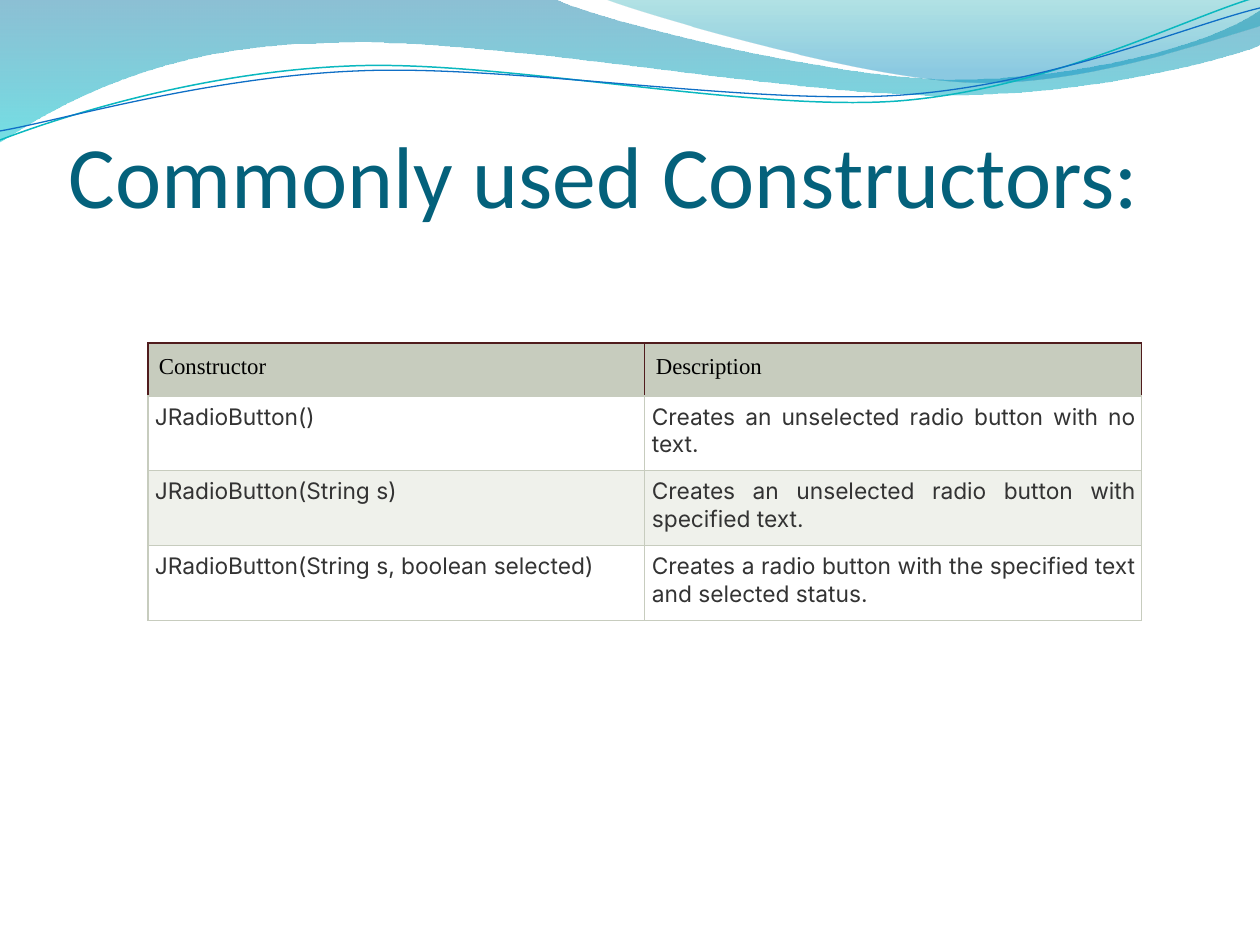
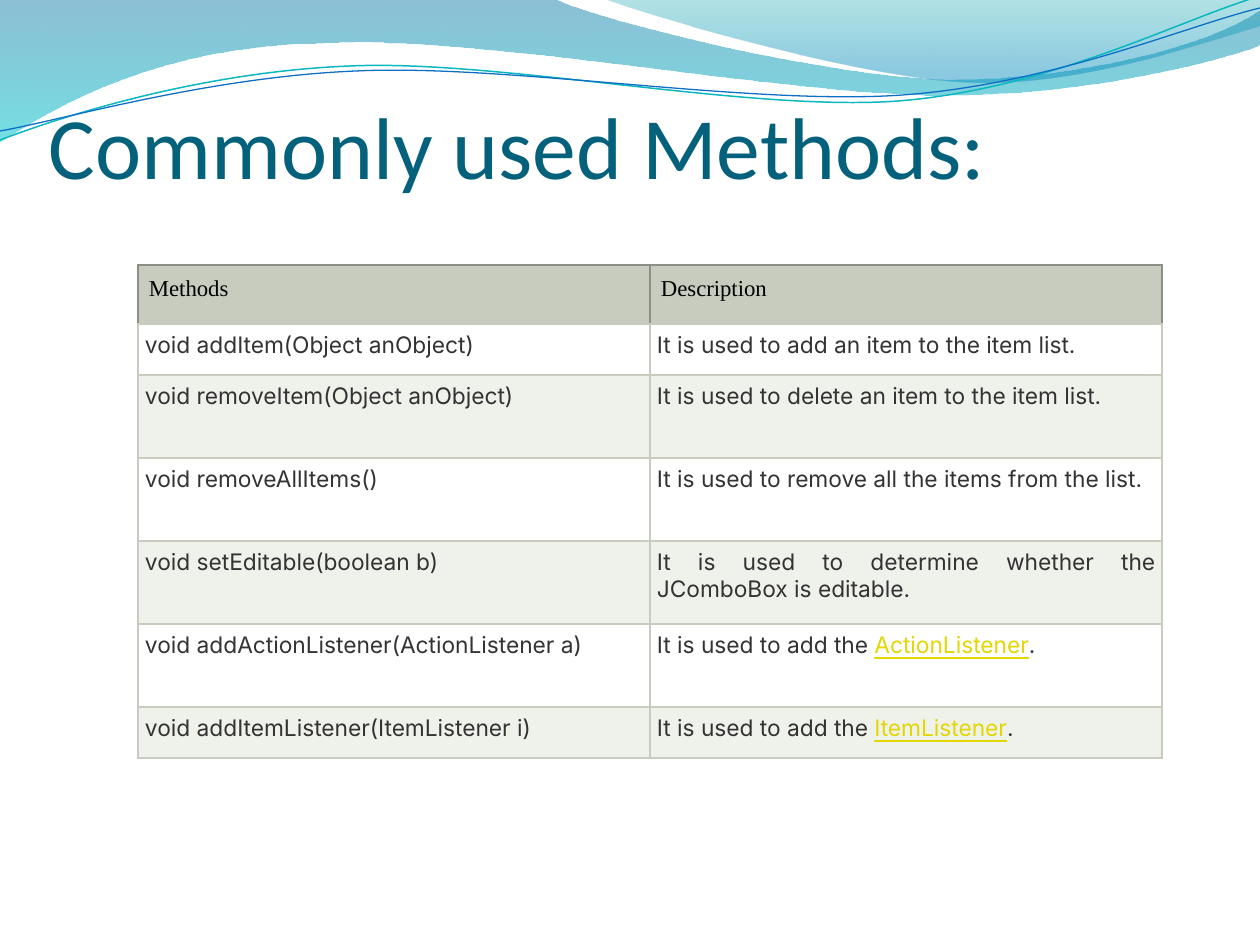
"""Builds two slides of Java Swing reference tables under a wave banner."""
from lxml import etree
from pptx import Presentation
from pptx.dml.color import RGBColor
from pptx.enum.text import MSO_ANCHOR, PP_ALIGN
from pptx.oxml.ns import qn
from pptx.util import Pt

PX = 914400 / 126
BOTTOM, LEFT, JUSTIFY = MSO_ANCHOR.BOTTOM, PP_ALIGN.LEFT, PP_ALIGN.JUSTIFY

TITLE_COLOR, HEADER_FILL, GRID_COLOR = "04617B", "C7CCBE", "C7CCBE"
ROW_FILLS = ("FFFFFF", "EFF1EB")
LINK_COLOR = "E2D700"
HEADER_TEXT = dict(size=13, font="Times New Roman", color="000000")
BODY_TEXT = dict(size=13, font="Inter", color="333333", align=JUSTIFY)

# Each step is a line end (2 numbers) or a Bezier curve (6 numbers).
WAVES = [
    dict(steps=[(0, 0), (554, -1), (600, 21, 837, 79, 955, 79),
                (1075, 79, 1207, 47, 1260, 11), (1261, 45),
                (1239, 55, 1096, 96, 940, 95), (783, 95, 481, 35, 324, 43),
                (161, 45, 58, 105, -1, 142)],
         gradient=[(0, "0074A1", 45), (1, "00C6CF", 55)]),
    dict(steps=[(604, -1), (641, 14, 859, 78, 969, 82),
                (1079, 87, 1211, 40, 1260, 26), (1260, 0)],
         gradient=[(0, "00A1A9", 30), (0.8, "008BBF", 45)]),
    dict(steps=[(0, 140), (60, 117, 199, 72, 349, 66),
                (498, 59, 747, 112, 898, 101), (1050, 89, 1182, 19, 1257, -3)],
         line=("0AB8BF", 0.85)),
    dict(steps=[(0, 131), (59, 121, 207, 77, 357, 71),
                (508, 64, 752, 106, 903, 95), (1053, 84, 1186, 26, 1260, 8)],
         line=("0F6FC6", 0.75)),
]

SLIDES = [
    dict(title="Commonly used Constructors:", title_at=(69, 68),
         table_at=(148, 343), column=497, heights=[53, 75, 75, 75],
         header_border="501C1D", header=("Constructor", "Description"),
         rows=[
             ("JRadioButton()",
              "Creates an unselected radio button with no text."),
             ("JRadioButton(String s)",
              "Creates an unselected radio button with specified text."),
             ("JRadioButton(String s, boolean selected)",
              "Creates a radio button with the specified text and selected status."),
         ]),
    dict(title="Commonly used Methods:", title_at=(49, 39),
         table_at=(138, 265), column=512, heights=[59, 51, 83, 83, 83, 83, 51],
         header_border="8C8E88", header=("Methods", "Description"),
         rows=[
             ("void addItem(Object anObject)",
              "It is used to add an item to the item list."),
             ("void removeItem(Object anObject)",
              "It is used to delete an item to the item list."),
             ("void removeAllItems()",
              "It is used to remove all the items from the list."),
             ("void setEditable(boolean b)",
              "It is used to determine whether the JComboBox is editable."),
             ("void addActionListener(ActionListener a)",
              ("It is used to add the ", "ActionListener", ".")),
             ("void addItemListener(ItemListener i)",
              ("It is used to add the ", "ItemListener", ".")),
         ]),
]


def px(length):
    return round(length * PX)


def rgb(color):
    return RGBColor.from_string(color)


def write(frame, text, size, font, color, align=LEFT):
    """Write a string, or a tuple whose odd parts look like links."""
    paragraph = frame.paragraphs[0]
    paragraph.alignment = align
    for index, part in enumerate((text,) if isinstance(text, str) else text):
        is_link = index % 2 == 1
        run = paragraph.add_run()
        run.text = part
        run.font.size, run.font.name = Pt(size), font
        run.font.color.rgb = rgb(LINK_COLOR if is_link else color)
        if is_link:
            run.font.underline = True


def bend(wave, steps):
    """Merge each three segments that belong to a curve into one Bezier."""
    outline = next(wave._element.iter(qn("a:path")))
    segments = iter(outline.findall(qn("a:lnTo")))
    for step in steps[1:]:
        segment = next(segments)
        if len(step) == 6:
            curve = etree.Element(qn("a:cubicBezTo"))
            outline.replace(segment, curve)
            for part in (segment, next(segments), next(segments)):
                curve.append(part[0])
                if part.getparent() is not None:
                    outline.remove(part)


def add_wave(slide, steps, gradient=None, line=None):
    points = [step[i:i + 2] for step in steps for i in range(0, len(step), 2)]
    builder = slide.shapes.build_freeform(*points[0], scale=PX)
    builder.add_line_segments(points[1:], close=bool(gradient))
    wave = builder.convert_to_shape()
    bend(wave, steps)
    wave.shadow.inherit = False
    if line:
        wave.fill.background()
        wave.line.color.rgb, wave.line.width = rgb(line[0]), Pt(line[1])
        return
    wave.line.fill.background()
    wave.fill.gradient()
    wave.fill.gradient_angle = 270
    for stop, (position, color, _) in zip(wave.fill.gradient_stops, gradient):
        stop.position, stop.color.rgb = position, rgb(color)
    stop_colors = wave._element.spPr.iter(qn("a:srgbClr"))
    for stop_color, (_, _, opacity) in zip(stop_colors, gradient):
        etree.SubElement(stop_color, qn("a:alpha"), val=str(opacity * 1000))


def add_title(slide, text, at):
    title = slide.shapes.add_textbox(*map(px, (*at, 1134, 158))).text_frame
    title.word_wrap, title.vertical_anchor = True, BOTTOM
    title.margin_left = title.margin_right = title.margin_bottom = 0
    title.margin_top = px(6)
    write(title, text, size=50, font="Calibri", color=TITLE_COLOR)


def format_cell(cell, fill, margin, side_color):
    cell.margin_left = cell.margin_right = px(margin)
    cell.margin_top = cell.margin_bottom = px(margin)
    properties = cell._tc.get_or_add_tcPr()
    for side in "LRTB":
        color = GRID_COLOR if side == "B" else side_color
        border = etree.SubElement(properties, qn("a:ln" + side), w=str(Pt(0.75)))
        solid = etree.SubElement(border, qn("a:solidFill"))
        etree.SubElement(solid, qn("a:srgbClr"), val=color)
    cell.fill.solid()
    cell.fill.fore_color.rgb = rgb(fill)


def add_reference(slide, at, column, heights, header, rows, header_border):
    lines = [header, *rows]
    size = (column * len(header), sum(heights))
    table = slide.shapes.add_table(len(lines), len(header), *map(px, (*at, *size))).table
    table.first_row = table.horz_banding = False
    for table_column in table.columns:
        table_column.width = px(column)
    for row, (texts, height) in enumerate(zip(lines, heights)):
        table.rows[row].height = px(height)
        for col, text in enumerate(texts):
            cell = table.cell(row, col)
            if row == 0:
                format_cell(cell, HEADER_FILL, 11, header_border)
                write(cell.text_frame, text, **HEADER_TEXT)
            else:
                format_cell(cell, ROW_FILLS[(row - 1) % 2], 7, GRID_COLOR)
                write(cell.text_frame, text, **BODY_TEXT)


def main():
    deck = Presentation()
    deck.slide_width, deck.slide_height = px(1260), px(945)
    for content in SLIDES:
        slide = deck.slides.add_slide(deck.slide_layouts[6])
        for wave in WAVES:
            add_wave(slide, **wave)
        add_title(slide, content["title"], content["title_at"])
        add_reference(slide, content["table_at"], content["column"], content["heights"],
                      content["header"], content["rows"], content["header_border"])
    deck.save("out.pptx")


if __name__ == "__main__":
    main()
